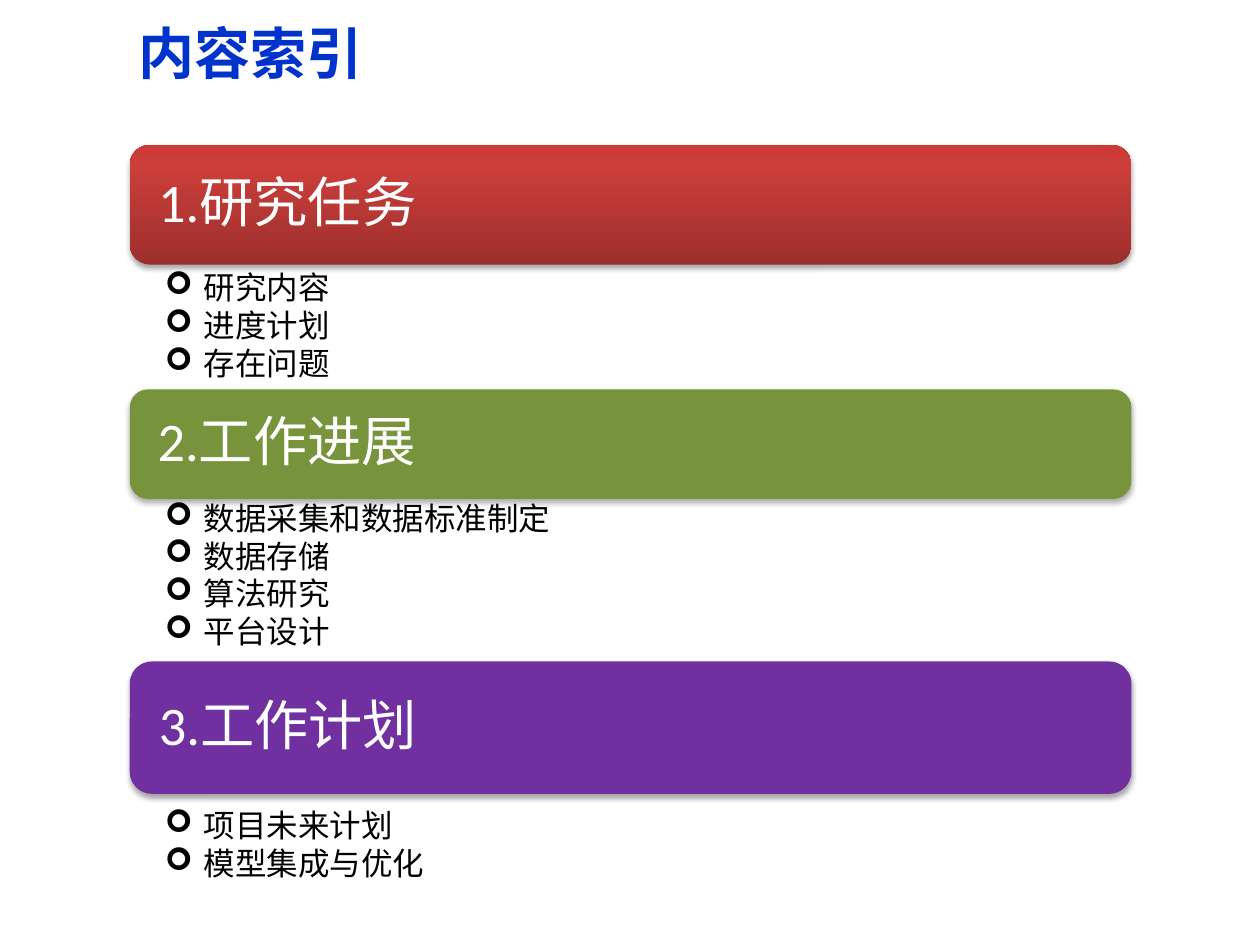
from copy import deepcopy

from lxml import etree
from pptx import Presentation
from pptx.dml.color import RGBColor
from pptx.enum.shapes import MSO_SHAPE
from pptx.enum.text import MSO_ANCHOR, PP_ALIGN
from pptx.oxml import parse_xml
from pptx.oxml.ns import nsdecls, qn
from pptx.util import Inches, Pt

BODY_FONT = "Calibri"
TITLE_FONT = "Noto Sans CJK SC"
RED_GRADIENT = [(0, "9C2F2D"), (0.8, "CB3E3A"), (1, "CE3B37")]

# heading, fill, bar top, bar height, list top, list height, items
SECTIONS = [
    ("1.研究任务", RED_GRADIENT, 1.15, 0.95, 2.08, 1.01,
     ["研究内容", "进度计划", "存在问题"]),
    ("2.工作进展", "77933C", 3.09, 0.87, 3.91, 1.62,
     ["数据采集和数据标准制定", "数据存储", "算法研究", "平台设计"]),
    ("3.工作计划", "7030A0", 5.25, 1.05, 6.35, 0.71,
     ["项目未来计划", "模型集成与优化"]),
]


def rgb(value):
    return RGBColor.from_string(value)


def format_runs(p, size, color, name=BODY_FONT, bold=False):
    """Format every run, using one font for Latin and East Asian text."""
    for r in p.runs:
        r.font.size = Pt(size)
        r.font.bold = bold
        r.font.color.rgb = rgb(color)
        r.font.name = name
        ea = etree.SubElement(r.font._element, qn("a:ea"))
        ea.set("typeface", name)


def fill_gradient(sp, stops):
    """Fill from bottom to top with (position, colour) stops."""
    sp.fill.gradient()
    sp.fill.gradient_angle = 90
    stop_list = sp._element.spPr.find(".//" + qn("a:gsLst"))
    while len(stop_list) < len(stops):
        stop_list.append(deepcopy(stop_list[-1]))
    for stop, (position, color) in zip(sp.fill.gradient_stops, stops):
        stop.position = position
        stop.color.rgb = rgb(color)


def add_soft_shadow(sp):
    sp._element.spPr.append(parse_xml(
        f'<a:effectLst {nsdecls("a")}>'
        '<a:outerShdw blurRad="40000" dist="23000" dir="5400000" rotWithShape="0">'
        '<a:srgbClr val="000000"><a:alpha val="35000"/></a:srgbClr>'
        '</a:outerShdw></a:effectLst>'))


def add_title(s, text):
    sp = s.shapes.title
    sp.left, sp.top = Inches(1), Inches(-0.02)
    sp.width, sp.height = Inches(9), Inches(0.87)
    tf = sp.text_frame
    tf.text = text
    tf.vertical_anchor = MSO_ANCHOR.MIDDLE
    p = tf.paragraphs[0]
    p.alignment = PP_ALIGN.LEFT
    format_runs(p, 32, "0033CC", TITLE_FONT, bold=True)


def add_heading_bar(s, text, fill, top, height):
    sp = s.shapes.add_shape(MSO_SHAPE.ROUNDED_RECTANGLE, Inches(1.03),
                            Inches(top), Inches(7.95), Inches(height))
    if isinstance(fill, str):
        sp.fill.solid()
        sp.fill.fore_color.rgb = rgb(fill)
    else:
        fill_gradient(sp, fill)
    sp.line.fill.background()
    add_soft_shadow(sp)
    tf = sp.text_frame
    tf.text = text
    tf.word_wrap = True
    tf.vertical_anchor = MSO_ANCHOR.MIDDLE
    tf.margin_left = tf.margin_right = Inches(0.18)
    p = tf.paragraphs[0]
    p.alignment = PP_ALIGN.LEFT
    p.line_spacing = 0.9
    format_runs(p, 31, "FFFFFF")


def set_arrow_bullet(p):
    pPr = p._p.get_or_add_pPr()
    pPr.set("marL", str(Inches(0.31)))
    pPr.set("indent", str(-Inches(0.31)))
    etree.SubElement(pPr, qn("a:buFont")).set("typeface", "Wingdings")
    etree.SubElement(pPr, qn("a:buChar")).set("char", "➢")


def add_bullet_list(s, items, top, height):
    sp = s.shapes.add_textbox(Inches(1.21), Inches(top),
                              Inches(7.72), Inches(height))
    tf = sp.text_frame
    tf.word_wrap = True
    tf.text = "\n".join(items)
    for p in tf.paragraphs:
        set_arrow_bullet(p)
        format_runs(p, 18, "000000")


def main():
    prs = Presentation()
    prs.slide_width, prs.slide_height = Inches(10), Inches(7.5)
    s = prs.slides.add_slide(prs.slide_layouts[5])
    add_title(s, "内容索引")
    for heading, fill, bar_top, bar_height, list_top, list_height, items in SECTIONS:
        add_heading_bar(s, heading, fill, bar_top, bar_height)
        add_bullet_list(s, items, list_top, list_height)
    prs.save("out.pptx")


if __name__ == "__main__":
    main()
